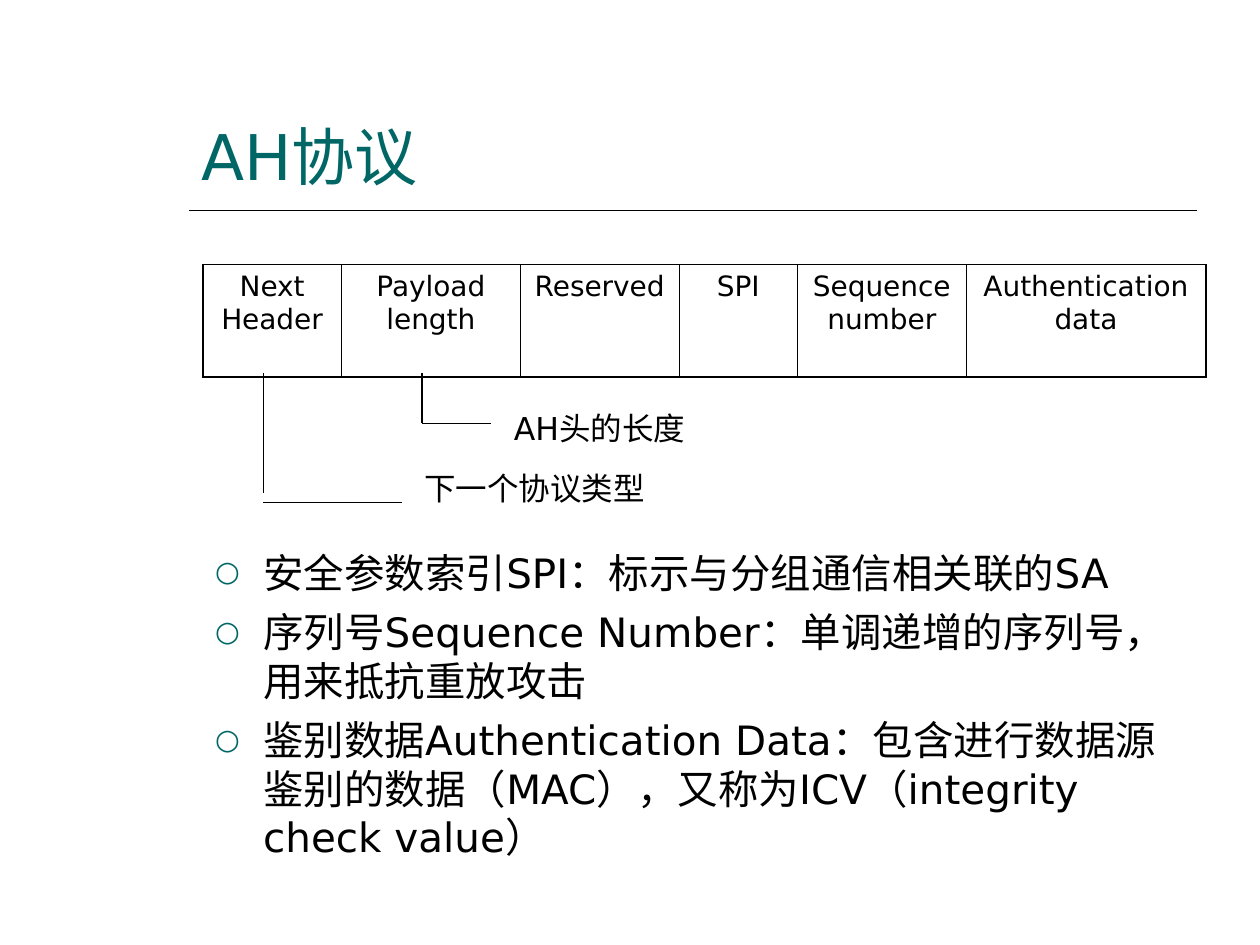
from pptx import Presentation
from pptx.dml.color import RGBColor
from pptx.enum.shapes import MSO_CONNECTOR as Conn
from pptx.enum.text import MSO_ANCHOR as Anchor, PP_ALIGN as Align
from pptx.oxml import parse_xml
from pptx.oxml.ns import nsdecls
from pptx.util import Inches, Pt

BLACK = RGBColor(0, 0, 0)
TEAL = RGBColor(0, 0x66, 0x66)
FONT = "DejaVu Sans"
NS = nsdecls("a")

prs = Presentation()
prs.slide_width, prs.slide_height = Inches(10), Inches(7.5)
s = prs.slides.add_slide(prs.slide_layouts[6])


def write(tf, text, size, color=BLACK, **paragraph):
    p = tf.paragraphs[0] if not tf.text else tf.add_paragraph()
    for name, value in paragraph.items():
        setattr(p, name, value)
    r = p.add_run()
    r.text = text
    for name, value in {"size": Pt(size), "name": FONT}.items():
        setattr(r.font, name, value)
    r.font.color.rgb = color
    return p


def add_text_box(*box):
    tf = s.shapes.add_textbox(*map(Inches, box)).text_frame
    tf.word_wrap = True
    return tf


title = add_text_box(1.5, 0.33, 8, 1.25)
title.vertical_anchor = Anchor.BOTTOM
write(title, "AH协议", 36, TEAL)

body = add_text_box(1.61, 4.3, 7.95, 2.83)
for text in (
    "安全参数索引SPI：标示与分组通信相关联的SA",
    "序列号Sequence Number：单调递增的序列号，用来抵抗重放攻击",
    "鉴别数据Authentication Data：包含进行数据源鉴别的数据（MAC），又称为ICV（integrity check value）",
):
    p = write(body, text, 23.1, space_before=Pt(6.2))
    pPr = p._p.get_or_add_pPr()
    pPr.set("marL", str(Inches(0.38)))
    pPr.set("indent", str(-Inches(0.38)))
    for xml in (
        f'<a:buClr {NS}><a:srgbClr val="{TEAL}"/></a:buClr>',
        f'<a:buSzPct {NS} val="70000"/>',
        f'<a:buFont {NS} typeface="{FONT}"/>',
        f'<a:buChar {NS} char="○"/>',
    ):
        pPr.append(parse_xml(xml))

fields = {
    "Next Header": 1.1,
    "Payload length": 1.42,
    "Reserved": 1.26,
    "SPI": 0.94,
    "Sequence number": 1.34,
    "Authentication data": 1.9,
}
last = len(fields) - 1
frame = s.shapes.add_table(1, len(fields), Inches(1.61), Inches(2.1), Inches(7.96), Inches(0.89))
table = frame.table
table.first_row = table.horz_banding = False
for i, (text, width) in enumerate(fields.items()):
    table.columns[i].width = Inches(width)
    cell = table.cell(0, i)
    write(cell.text_frame, text, 16, alignment=Align.CENTER, space_before=Pt(4))
    borders = {
        "lnL": 1.08 if i == 0 else 0.45,
        "lnR": 1.08 if i == last else 0.45,
        "lnT": 1.08,
        "lnB": 1.08,
    }
    tcPr = cell._tc.get_or_add_tcPr()
    for tag, weight in borders.items():
        tcPr.append(parse_xml(
            f'<a:{tag} {NS} w="{Pt(weight)}"><a:solidFill>'
            f'<a:srgbClr val="{BLACK}"/></a:solidFill></a:{tag}>'))
    cell.fill.background()

for x1, y1, x2, y2, weight in (
    (1.5, 1.67, 9.5, 1.67, 0.99),
    (3.35, 2.96, 3.35, 3.36, 0.74),
    (3.35, 3.36, 3.9, 3.36, 0.74),
    (2.09, 2.96, 2.09, 3.91, 0.74),
    (2.09, 3.99, 3.19, 3.99, 0.74),
):
    line = s.shapes.add_connector(Conn.STRAIGHT, *map(Inches, (x1, y1, x2, y2)))
    line.line.color.rgb = BLACK
    line.line.width = Pt(weight)
    line._element.spPr.append(parse_xml(f"<a:effectLst {NS}/>"))

for text, x, y, width in (("AH头的长度", 3.98, 3.2, 1.81), ("下一个协议类型", 3.27, 3.67, 2.44)):
    write(add_text_box(x, y, width, 0.4), text, 18, space_before=Pt(11.2))

prs.save("out.pptx")
